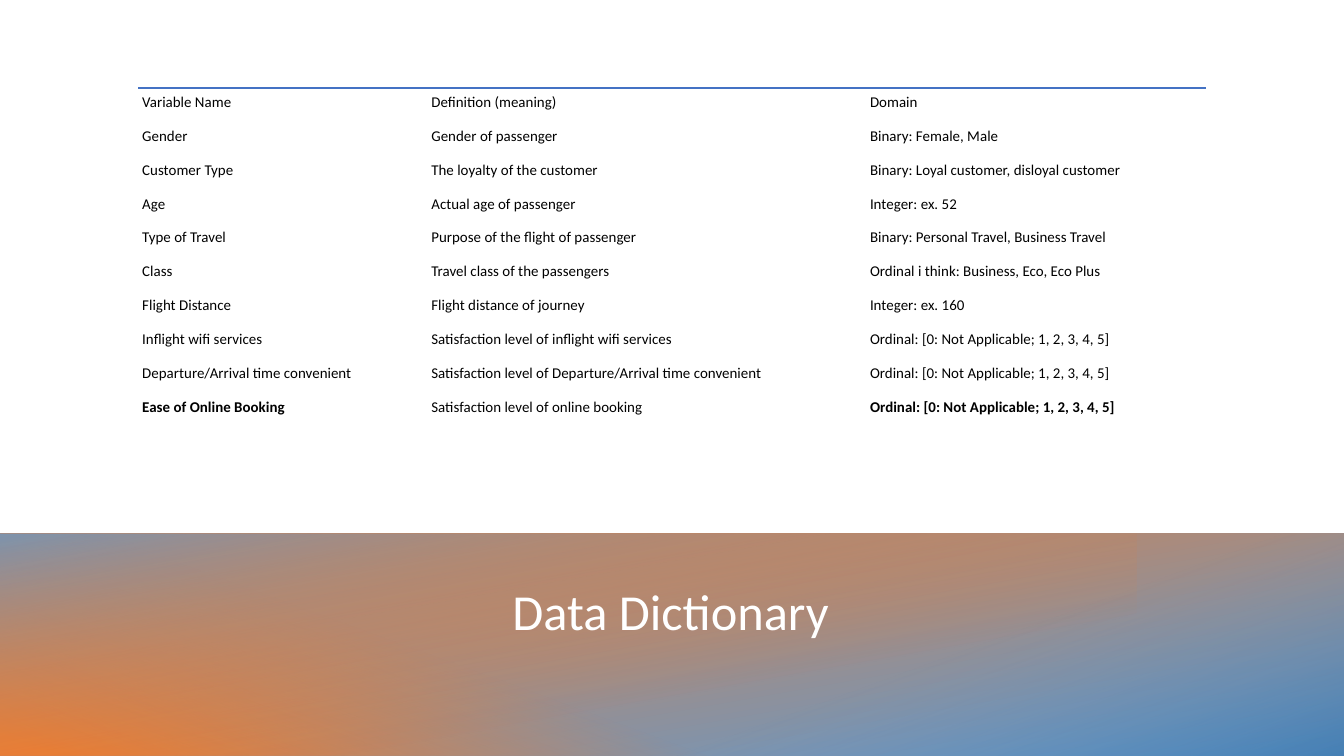
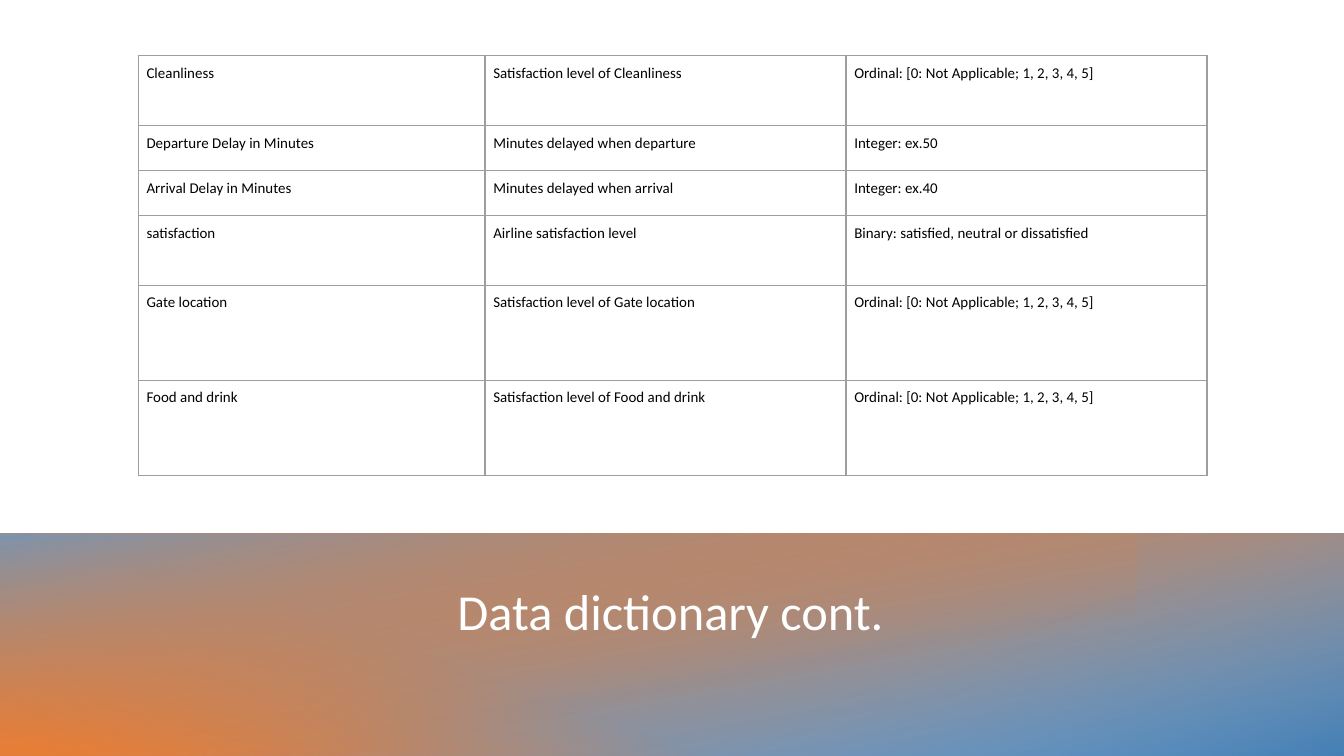
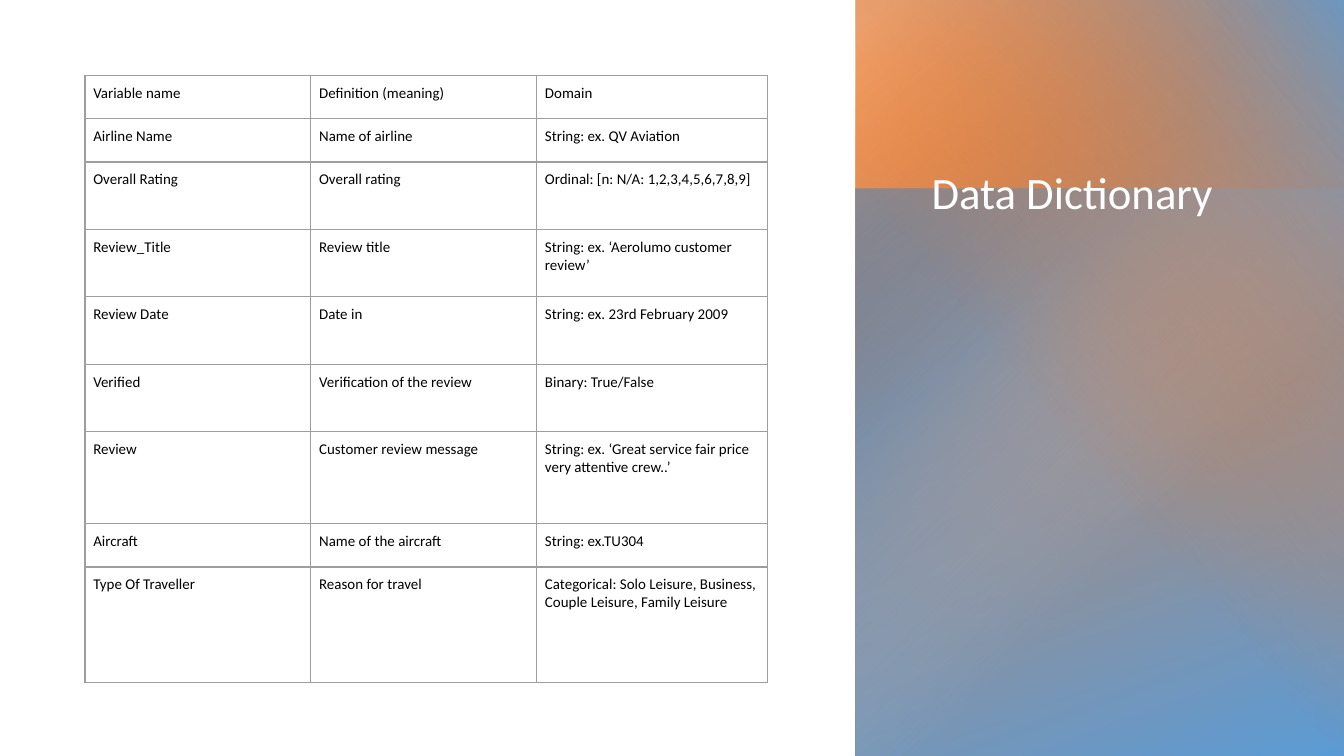
from lxml import etree
from pptx import Presentation
from pptx.dml.color import RGBColor
from pptx.enum.shapes import MSO_SHAPE
from pptx.enum.text import MSO_ANCHOR, PP_ALIGN
from pptx.oxml.ns import nsdecls, qn
from pptx.oxml import parse_xml
from pptx.util import Pt

RECT = MSO_SHAPE.RECTANGLE
TOP, BOTTOM = MSO_ANCHOR.TOP, MSO_ANCHOR.BOTTOM
LEFT, CENTER = PP_ALIGN.LEFT, PP_ALIGN.CENTER

FONT = "Calibri"
NO_STYLE = "{2D5ABB26-0587-4C30-8999-92F81FD0307C}"
COLORS = {
    "white": "FFFFFF", "text": "000000", "rule": "4472C4", "grid": "9E9E9E",
    "blue": "5B9BD5", "orange": "ED7D31", "navy": "1F4E79",
    "deep": "2E75B6", "pale": "9DC3E6", "peach": "F4B183",
}
SCALE = "Ordinal: [0: Not Applicable; 1, 2, 3, 4, 5]"

# Gradient layers: box, rotation, angle (None = from the corner),
# stops as (position %, colour, opacity %)
BAND = [
    ((0, 286, 720, 119), 180, 80, [(0, "blue", 100), (100, "orange", 100)]),
    ((0, 286, 624, 119), 0, 290, [(3, "orange", 100), (40, "orange", 0)]),
    ((0, 286, 609, 119), 0, 80, [(0, "blue", 76), (67, "orange", 0)]),
    ((243, 286, 477, 119), 180, 70, [(0, "navy", 36), (45, "blue", 0)]),
]
PANEL = [
    ((458.5, 0, 261.5, 405), 0, 70, [(7, "orange", 100), (100, "blue", 100)]),
    ((458.5, 101, 261.5, 304), 180, None, [(0, "deep", 100), (60, "pale", 0)]),
    ((458.5, 0, 193, 405), 0, 50, [(3, "peach", 78), (42, "orange", 0)]),
    ((386.75, 71.75, 405, 261.5), 270, 230, [(0, "blue", 86), (57, "orange", 0)]),
]

BAND_TITLE = {"box": (95, 305, 528.5, 42), "size": 27, "anchor": BOTTOM, "align": CENTER}
PANEL_TITLE = {"box": (492, 88, 196, 176), "size": 24, "anchor": TOP, "align": LEFT}
RULED = {"insets": (2.2, 2.9, 2.2, 4.3), "rule": True}
GRID = {"insets": (4.5, 4.5, 4.5, 4.5), "rule": False}

SLIDES = [
    {
        "title": "Data Dictionary", "title_style": BAND_TITLE, "layers": BAND,
        "look": RULED, "at": (74, 47), "cols": (154.9, 235, 182.1),
        "heights": [18.15] * 9 + [27.4], "bold": {(9, 0), (9, 2)},
        "rows": [
            ("Variable Name", "Definition (meaning)", "Domain"),
            ("Gender", "Gender of passenger", "Binary: Female, Male"),
            ("Customer Type", "The loyalty of the customer",
             "Binary: Loyal customer, disloyal customer"),
            ("Age", "Actual age of passenger", "Integer: ex. 52"),
            ("Type of Travel", "Purpose of the flight of passenger",
             "Binary: Personal Travel, Business Travel"),
            ("Class", "Travel class of the passengers",
             "Ordinal i think: Business, Eco, Eco Plus"),
            ("Flight Distance", "Flight distance of journey", "Integer: ex. 160"),
            ("Inflight wifi services", "Satisfaction level of inflight wifi services", SCALE),
            ("Departure/Arrival time convenient",
             "Satisfaction level of Departure/Arrival time convenient", SCALE),
            ("Ease of Online Booking", "Satisfaction level of online booking", SCALE),
        ],
    },
    {
        "title": "Data dictionary cont.", "title_style": BAND_TITLE, "layers": BAND,
        "look": GRID, "at": (74, 29.7), "cols": (185.8, 193.4, 193.4),
        "heights": [37.5, 24.1, 24.1, 37.5, 50.9, 50.9], "bold": set(),
        "rows": [
            ("Cleanliness", "Satisfaction level of Cleanliness", SCALE),
            ("Departure Delay in Minutes", "Minutes delayed when departure", "Integer: ex.50"),
            ("Arrival Delay in Minutes", "Minutes delayed when arrival", "Integer: ex.40"),
            ("satisfaction", "Airline satisfaction level",
             "Binary: satisfied, neutral or dissatisfied"),
            ("Gate location", "Satisfaction level of Gate location", SCALE),
            ("Food and drink", "Satisfaction level of Food and drink", SCALE),
        ],
    },
    {
        "title": "Data Dictionary", "title_style": PANEL_TITLE, "layers": PANEL,
        "look": GRID, "at": (45.5, 40.4), "cols": (121, 121, 123.8),
        "heights": [23.2, 23.2] + [36.15] * 4 + [49.2, 23.2, 61.9], "bold": set(),
        "rows": [
            ("Variable name", "Definition (meaning)", "Domain"),
            ("Airline Name", "Name of airline", "String: ex. QV Aviation"),
            ("Overall Rating", "Overall rating", "Ordinal: [n: N/A: 1,2,3,4,5,6,7,8,9]"),
            ("Review_Title", "Review title", "String: ex. ‘Aerolumo customer review’"),
            ("Review Date", "Date in", "String: ex. 23rd February 2009"),
            ("Verified", "Verification of the review", "Binary: True/False"),
            ("Review", "Customer review message",
             "String: ex. ‘Great service fair price very attentive crew..’"),
            ("Aircraft", "Name of the aircraft", "String: ex.TU304"),
            ("Type Of Traveller", "Reason for travel",
             "Categorical: Solo Leisure, Business, Couple Leisure, Family Leisure"),
        ],
    },
]


def write(p, text, size, color, bold=False):
    r = p.add_run()
    r.text = text
    for name, value in {"name": FONT, "size": Pt(size), "bold": bold}.items():
        setattr(r.font, name, value)
    r.font.color.rgb = RGBColor.from_string(COLORS[color])


def gradient_xml(angle, stops):
    gs = "".join(
        f'<a:gs pos="{pos * 1000}"><a:srgbClr val="{COLORS[color]}">'
        f'<a:alpha val="{alpha * 1000}"/></a:srgbClr></a:gs>'
        for pos, color, alpha in stops)
    if angle is None:
        way = '<a:path path="circle"><a:fillToRect r="100000" b="100000"/></a:path>'
    else:
        way = f'<a:lin ang="{angle * 60000}" scaled="0"/>'
    return parse_xml(f'<a:gradFill {nsdecls("a")} rotWithShape="1">'
                     f'<a:gsLst>{gs}</a:gsLst>{way}</a:gradFill>')


def add_layers(slide, layers):
    group = slide.shapes.add_group_shape()
    for box, rotation, angle, stops in layers:
        sp = group.shapes.add_shape(RECT, *map(Pt, box))
        sp.rotation = rotation
        sp.shadow.inherit = False
        sp.line.fill.background()
        sp.fill.background()
        props = sp.fill._xPr
        props.replace(props.find(qn("a:noFill")), gradient_xml(angle, stops))


def add_title(slide, text, style):
    sp = slide.shapes.add_textbox(*map(Pt, style["box"]))
    tf = sp.text_frame
    tf.word_wrap = True
    tf.vertical_anchor = style["anchor"]
    p = tf.paragraphs[0]
    p.alignment = style["align"]
    p.line_spacing = 0.9
    write(p, text, style["size"], "white")


def set_borders(cell, sides, color, width):
    tc_pr = cell._tc.get_or_add_tcPr()
    for i, side in enumerate(sides):
        ln = etree.Element(qn(f"a:ln{side}"), w=str(Pt(width)))
        fill = etree.SubElement(ln, qn("a:solidFill"))
        etree.SubElement(fill, qn("a:srgbClr"), val=COLORS[color])
        tc_pr.insert(i, ln)


def add_dictionary(slide, spec_of):
    rows, cols, heights = spec_of["rows"], spec_of["cols"], spec_of["heights"]
    look = spec_of["look"]
    box = (*spec_of["at"], sum(cols), sum(heights))
    table = slide.shapes.add_table(len(rows), len(cols), *map(Pt, box)).table
    table.first_row = table.horz_banding = False
    table._tbl.tblPr.find(qn("a:tableStyleId")).text = NO_STYLE
    for column, width in zip(table.columns, cols):
        column.width = Pt(width)
    for i, row in enumerate(rows):
        table.rows[i].height = Pt(heights[i])
        for j, text in enumerate(row):
            cell = table.cell(i, j)
            cell.fill.background()
            for side, inset in zip(("left", "top", "right", "bottom"), look["insets"]):
                setattr(cell, f"margin_{side}", Pt(inset))
            write(cell.text_frame.paragraphs[0], text, 8, "text", (i, j) in spec_of["bold"])
            if not look["rule"]:
                set_borders(cell, "LRTB", "grid", 0.75)
            elif i == 0:
                set_borders(cell, "T", "rule", 1)


def main():
    prs = Presentation()
    prs.slide_width, prs.slide_height = Pt(720), Pt(405)
    for content in SLIDES:
        slide = prs.slides.add_slide(prs.slide_layouts[6])
        add_layers(slide, content["layers"])
        add_title(slide, content["title"], content["title_style"])
        add_dictionary(slide, content)
    prs.save("out.pptx")


if __name__ == "__main__":
    main()
